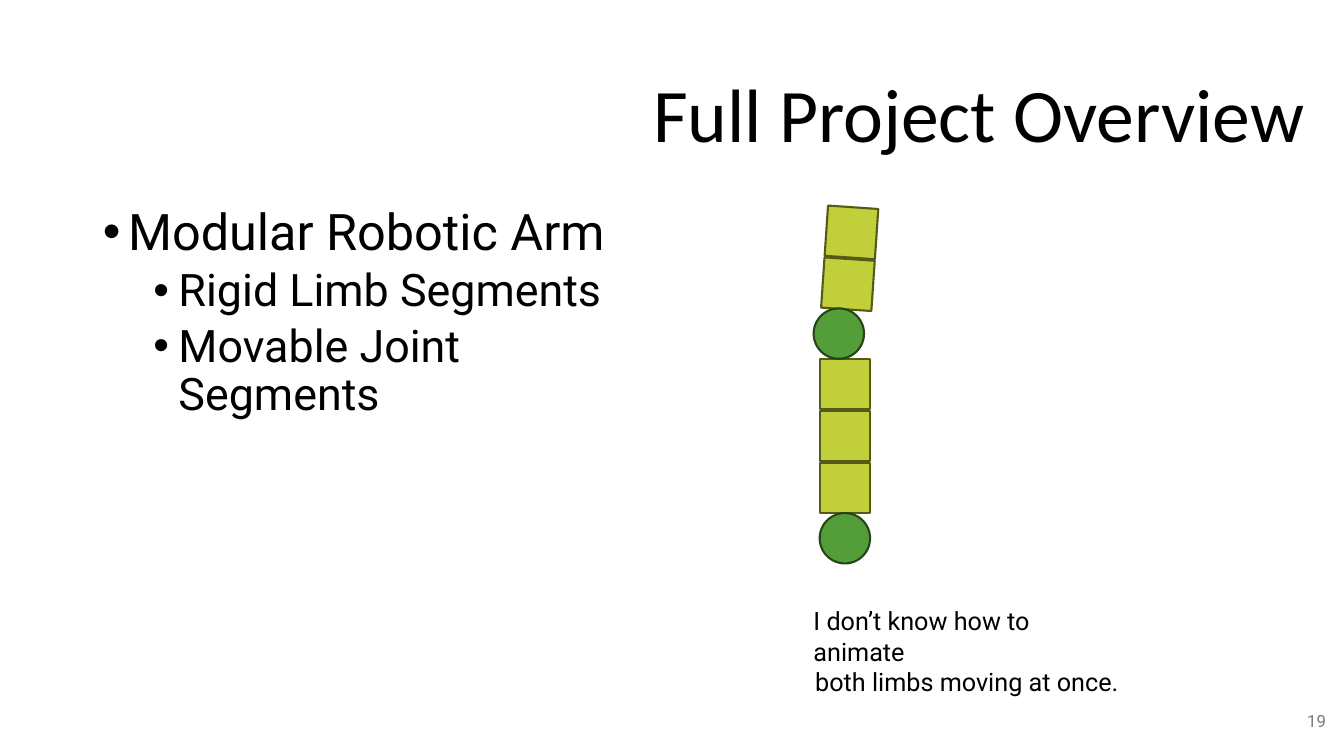
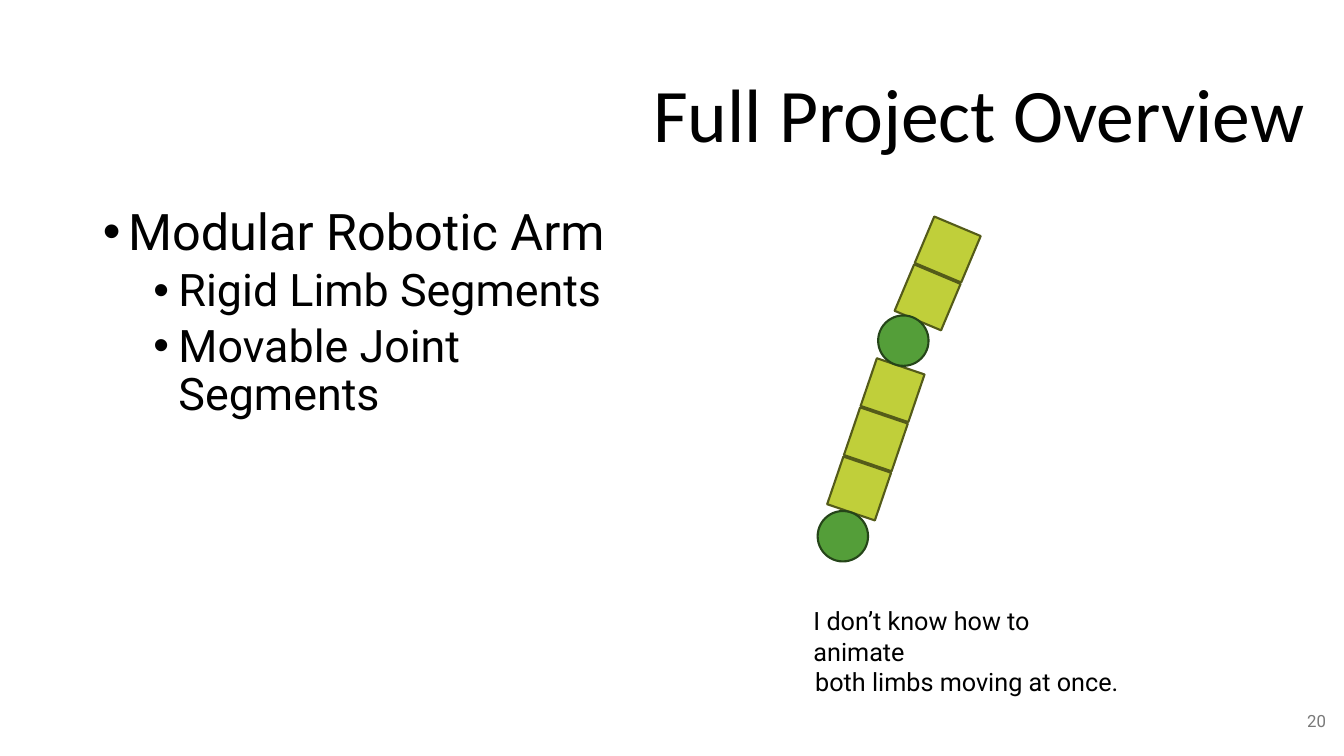
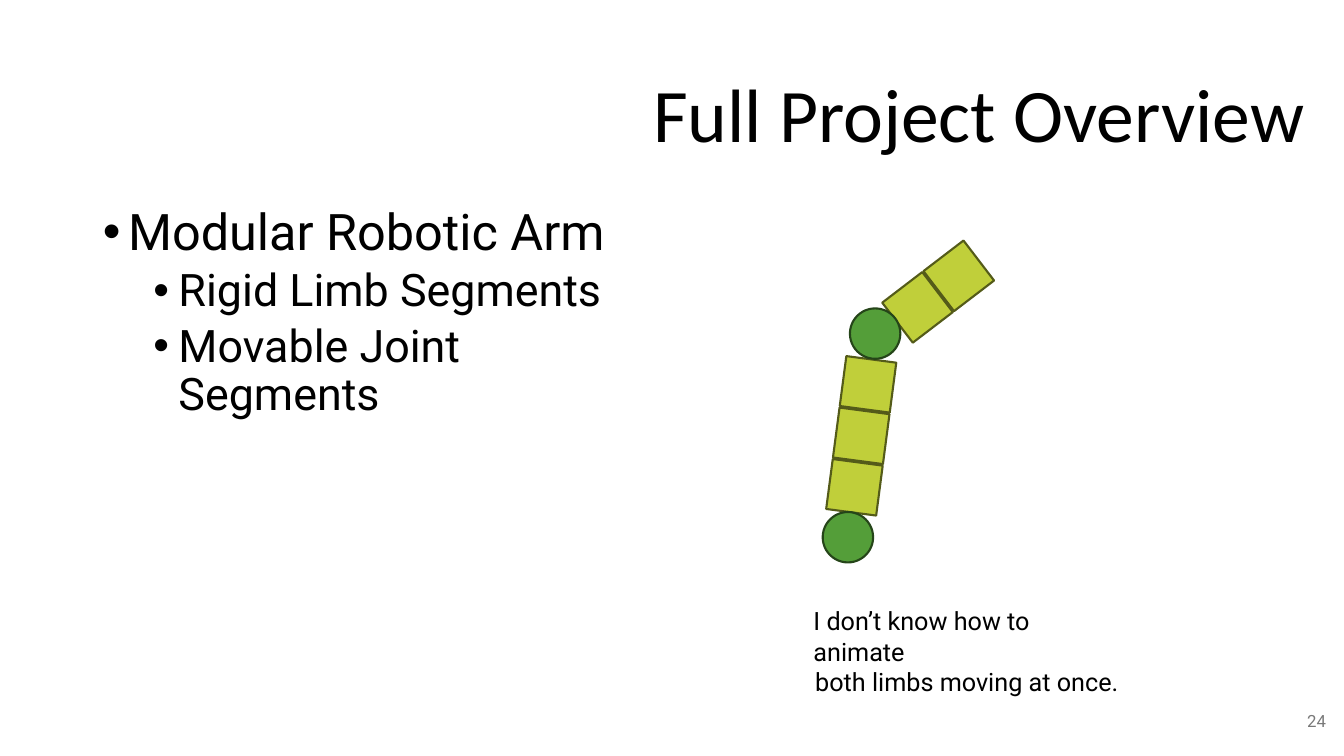
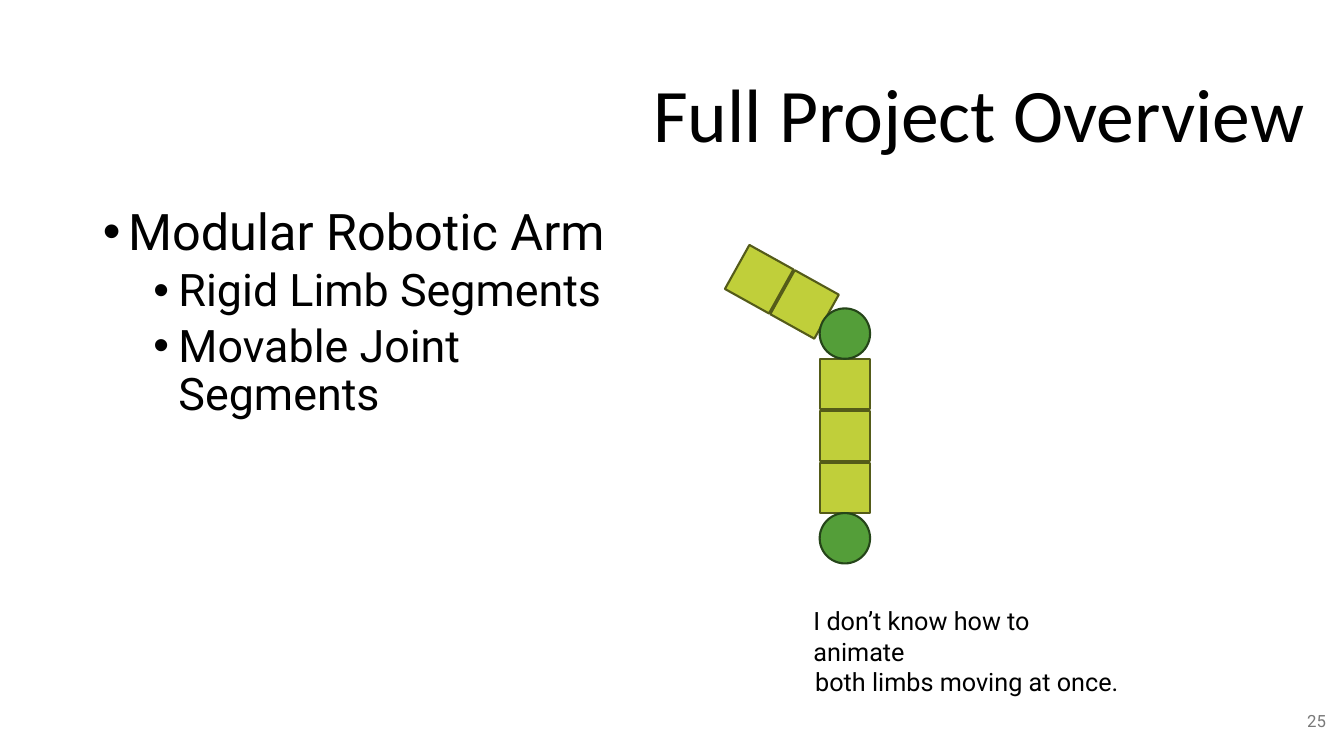
"""Build four slides that show a modular robotic arm in different poses."""
from math import cos, radians, sin

from lxml.etree import SubElement
from pptx import Presentation
from pptx.dml.color import RGBColor
from pptx.enum.shapes import MSO_SHAPE as Shape
from pptx.enum.text import MSO_ANCHOR as Anchor, MSO_AUTO_SIZE as AutoSize, PP_ALIGN as Align
from pptx.oxml.ns import qn
from pptx.util import Inches, Pt

BLACK, GREY = "000000", "797979"
LIMB_COLORS = ("C0CF3A", "545B19")
JOINT_COLORS = ("549E39", "254519")
SIZE, JOINT_GAP, LIMB_STEP = 0.5, 0.5, 0.515

BULLETS = [
    ("Modular Robotic Arm", 0, 36, 0),
    ("Rigid Limb Segments", 1, 32, 5),
    ("Movable Joint Segments", 1, 32, 5),
]
POSES = [
    (19, (8.38, 5.34), 0, (8.32, 3.31), (8.41, 2.82), 3.9),
    (20, (8.36, 5.32), 18.8, (8.96, 3.38), (9.2, 2.95), 22.8),
    (24, (8.41, 5.33), 7.5, (8.68, 3.31), (9.1, 3.05), 52.6),
    (25, (8.38, 5.34), 0, (8.38, 3.31), (7.98, 3.02), 299.1),
]


def style(paragraph, size, color=BLACK, face="Roboto"):
    paragraph.font.size = Pt(size)
    paragraph.font.name = face
    paragraph.font.color.rgb = RGBColor.from_string(color)


def add_segment(slide, preset, center, colors, angle=0):
    left, top = (Inches(value - SIZE / 2) for value in center)
    segment = slide.shapes.add_shape(preset, left, top, Inches(SIZE), Inches(SIZE))
    segment.rotation = angle
    segment.shadow.inherit = False
    segment.fill.solid()
    segment.fill.fore_color.rgb = RGBColor.from_string(colors[0])
    segment.line.color.rgb = RGBColor.from_string(colors[1])
    segment.line.width = Pt(1.5)


prs = Presentation()
prs.slide_width, prs.slide_height = Inches(13.33), Inches(7.5)
layout = prs.slide_layouts[1]
for holder, bounds in zip(layout.placeholders, [(0.92, 0.45, 12.12, 1.45), (0.92, 2, 5.67, 4.56)]):
    holder.left, holder.top, holder.width, holder.height = map(Inches, bounds)

for number, base, lower_angle, elbow, upper_start, upper_angle in POSES:
    slide = prs.slides.add_slide(layout)

    title = slide.shapes.title.text_frame
    title.text = "Full Project Overview"
    title.auto_size = AutoSize.NONE
    title.vertical_anchor = Anchor.MIDDLE
    heading = title.paragraphs[0]
    heading.alignment = Align.RIGHT
    heading.line_spacing = 0.9
    style(heading, 54, face="Calibri")

    body = slide.placeholders[1].text_frame
    body.text = "\n".join(text for text, *_ in BULLETS)
    body.auto_size = AutoSize.NONE
    for item, (_, level, size, space) in zip(body.paragraphs, BULLETS):
        item.level = level
        item.line_spacing = 0.9
        item.space_before = Pt(space)
        properties = item._p.get_or_add_pPr()
        properties.set("marL", str(Inches(0.25 + 0.5 * level)))
        properties.set("indent", str(Inches(-0.25)))
        SubElement(properties, qn("a:buFont"), typeface="Arial")
        SubElement(properties, qn("a:buChar"), char="•")
        style(item, size)

    page = slide.shapes.add_textbox(Inches(12.63), Inches(6.95), Inches(0.62), Inches(0.4)).text_frame
    page.text = str(number)
    page.word_wrap = True
    page.vertical_anchor = Anchor.MIDDLE
    page.paragraphs[0].alignment = Align.RIGHT
    style(page.paragraphs[0], 12, GREY)

    lower_turn = radians(lower_angle)
    lower_start = (base[0] + JOINT_GAP * sin(lower_turn), base[1] - JOINT_GAP * cos(lower_turn))
    limbs = [(lower_start, lower_angle, 3, base), (upper_start, upper_angle, 2, elbow)]
    for (x, y), angle, count, joint in limbs:
        turn = radians(angle)
        for index in range(count):
            reach = LIMB_STEP * index
            center = (x + reach * sin(turn), y - reach * cos(turn))
            add_segment(slide, Shape.RECTANGLE, center, LIMB_COLORS, angle)
        add_segment(slide, Shape.OVAL, joint, JOINT_COLORS)

    caption = slide.shapes.add_textbox(Inches(7.97), Inches(5.96), Inches(3.24), Inches(0.71)).text_frame
    caption.text = "I don’t know how to animate\nboth limbs moving at once."
    caption.word_wrap = True
    caption.paragraphs[1].alignment = Align.CENTER
    for line in caption.paragraphs:
        style(line, 18)

prs.save("out.pptx")
